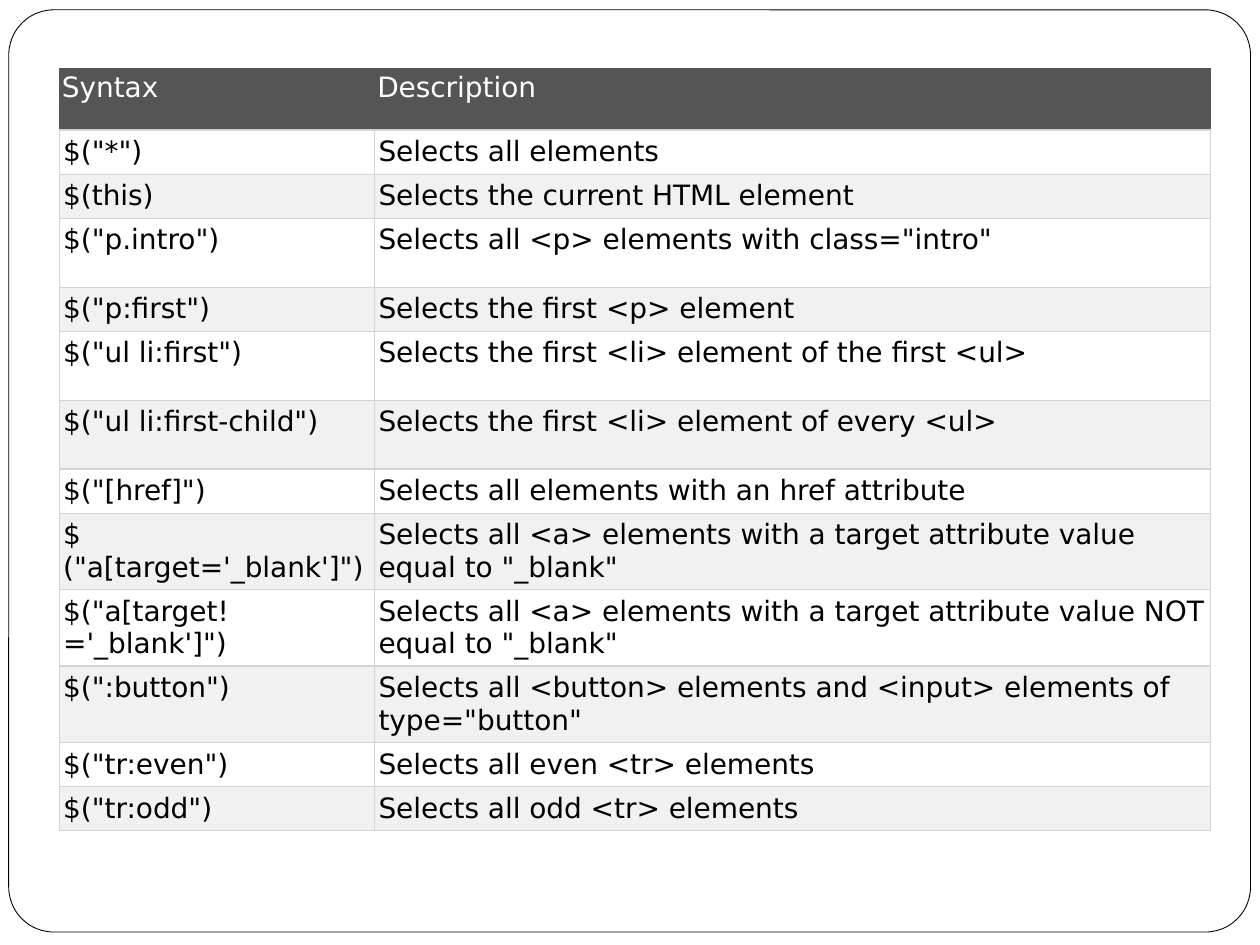
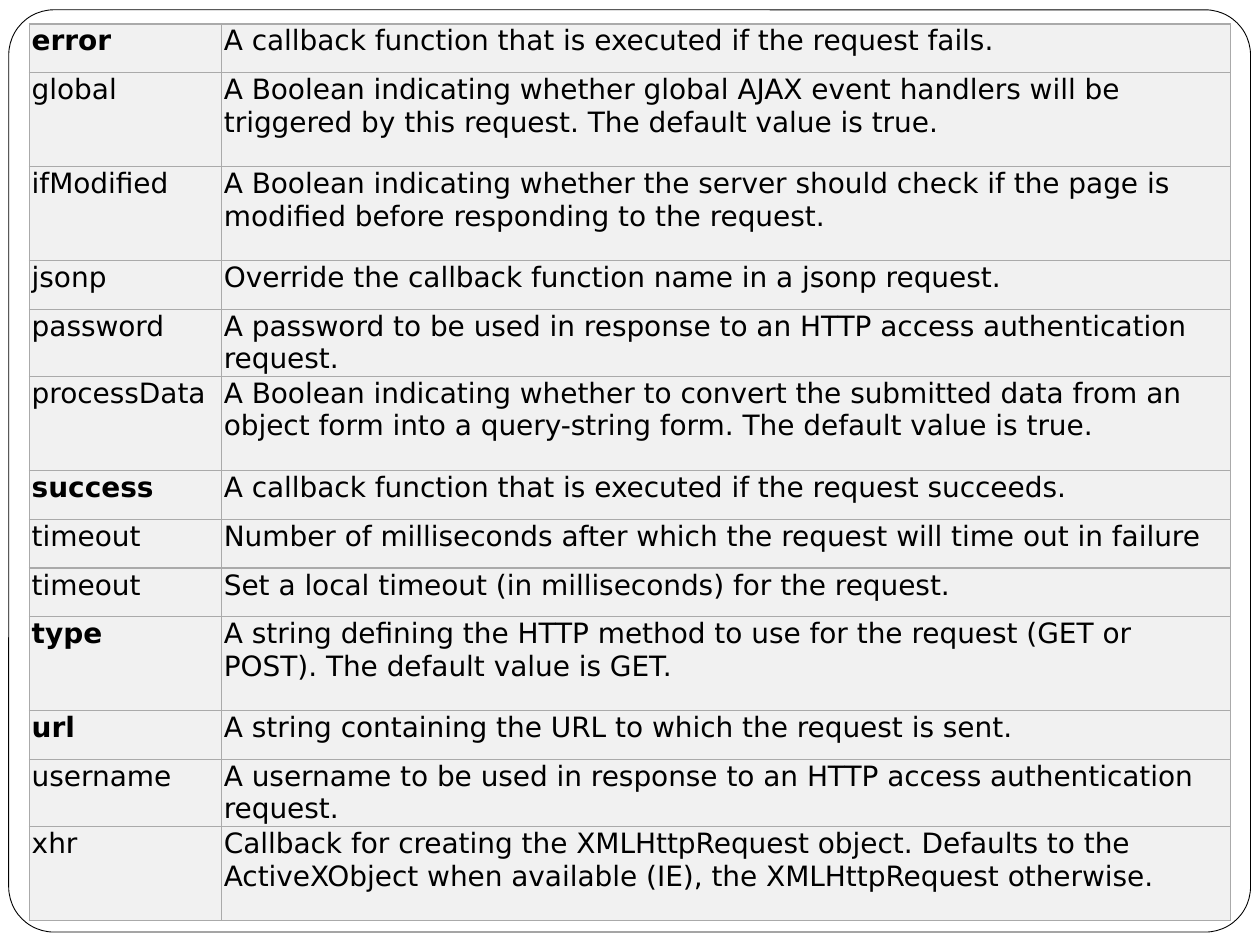
from lxml.etree import SubElement
from pptx import Presentation
from pptx.dml.color import RGBColor
from pptx.enum.shapes import MSO_SHAPE as Shape
from pptx.oxml.ns import qn
from pptx.util import Pt

FONT = "DejaVu Sans"
TEXT_SIZE = 16
BLACK, WHITE, STRIPE, HEADER = "000000", "FFFFFF", "F1F1F1", "555555"
SELECTOR_BORDER, OPTION_BORDER = "D4D4D4", "AAAAAA"
FRAME_BOX = (5, 5.6, 709.6, 527)

# Row heights in points
SELECTOR_SHORT, SELECTOR_TALL = 24.6, 39.4
OPTION_SHORT, OPTION_SNUG, OPTION_TALL = 27.95, 29.4, 53.6

SELECTORS = [
    ('$("*")', "Selects all elements", SELECTOR_SHORT),
    ("$(this)", "Selects the current HTML element", SELECTOR_SHORT),
    ('$("p.intro")', 'Selects all <p> elements with class="intro"', SELECTOR_TALL),
    ('$("p:first")', "Selects the first <p> element", SELECTOR_SHORT),
    ('$("ul li:first")', "Selects the first <li> element of the first <ul>", SELECTOR_TALL),
    ('$("ul li:first-child")', "Selects the first <li> element of every <ul>", SELECTOR_TALL),
    ('$("[href]")', "Selects all elements with an href attribute", SELECTOR_SHORT),
    ("$(\"a[target='_blank']\")",
     'Selects all <a> elements with a target attribute value equal to "_blank"', SELECTOR_TALL),
    ("$(\"a[target!='_blank']\")",
     'Selects all <a> elements with a target attribute value NOT equal to "_blank"', SELECTOR_TALL),
    ('$(":button")',
     'Selects all <button> elements and <input> elements of type="button"', SELECTOR_TALL),
    ('$("tr:even")', "Selects all even <tr> elements", SELECTOR_SHORT),
    ('$("tr:odd")', "Selects all odd <tr> elements", SELECTOR_SHORT),
]

OPTIONS = [
    ("error", "A callback function that is executed if the request fails.", OPTION_SHORT),
    ("global", "A Boolean indicating whether global AJAX event handlers will be "
     "triggered by this request. The default value is true.", OPTION_TALL),
    ("ifModified", "A Boolean indicating whether the server should check if the page is "
     "modified before responding to the request.", OPTION_TALL),
    ("jsonp", "Override the callback function name in a jsonp request.", OPTION_SHORT),
    ("password", "A password to be used in response to an HTTP access authentication request.",
     OPTION_SNUG),
    ("processData", "A Boolean indicating whether to convert the submitted data from an "
     "object form into a query-string form. The default value is true.", OPTION_TALL),
    ("success", "A callback function that is executed if the request succeeds.", OPTION_SHORT),
    ("timeout", "Number of milliseconds after which the request will time out in failure",
     OPTION_SHORT),
    ("timeout", "Set a local timeout (in milliseconds) for the request.", OPTION_SHORT),
    ("type", "A string defining the HTTP method to use for the request (GET or POST). "
     "The default value is GET.", OPTION_TALL),
    ("url", "A string containing the URL to which the request is sent.", OPTION_SHORT),
    ("username", "A username to be used in response to an HTTP access authentication request.",
     OPTION_SNUG),
    ("xhr", "Callback for creating the XMLHttpRequest object. Defaults to the ActiveXObject "
     "when available (IE), the XMLHttpRequest otherwise.", OPTION_TALL),
]
KEY_OPTIONS = {"error", "success", "type", "url"}


def color(hex_string):
    return RGBColor.from_string(hex_string)


def add_framed_slide(presentation):
    """Add a blank slide with the rounded frame that all slides share."""
    slide = presentation.slides.add_slide(presentation.slide_layouts[6])
    frame = slide.shapes.add_shape(Shape.ROUNDED_RECTANGLE, *map(Pt, FRAME_BOX))
    frame.adjustments[0] = 0.049
    frame.shadow.inherit = False
    frame.fill.solid()
    frame.fill.fore_color.rgb = color(WHITE)
    frame.line.color.rgb = color(BLACK)
    frame.line.width = Pt(0.5)
    return slide


def set_borders(cell, side_color, bottom_color):
    properties = cell._tc.get_or_add_tcPr()
    for side in "LRTB":
        line = SubElement(properties, qn(f"a:ln{side}"), w=str(Pt(0.75)))
        fill = SubElement(line, qn("a:solidFill"))
        SubElement(fill, qn("a:srgbClr"), val=bottom_color if side == "B" else side_color)


def format_cell(cell, text, fill, margins, border, bottom=None, text_color=BLACK, bold=False):
    """Fill one cell; margins are (horizontal, vertical)."""
    set_borders(cell, border, bottom or border)
    cell.fill.solid()
    cell.fill.fore_color.rgb = color(fill)
    cell.margin_left = cell.margin_right = Pt(margins[0])
    cell.margin_top = cell.margin_bottom = Pt(margins[1])
    cell.text = text
    font = cell.text_frame.paragraphs[0].font
    font.name, font.size, font.bold = FONT, Pt(TEXT_SIZE), bold
    font.color.rgb = color(text_color)


def add_plain_table(slide, left, top, column_widths, row_heights):
    box = (left, top, sum(column_widths), sum(row_heights))
    table = slide.shapes.add_table(len(row_heights), len(column_widths), *map(Pt, box)).table
    table.first_row = table.horz_banding = False
    for column, width in zip(table.columns, column_widths):
        column.width = Pt(width)
    for row, height in zip(table.rows, row_heights):
        row.height = Pt(height)
    return table


def add_selector_table(slide, left, top):
    heights = [35.2] + [height for *_, height in SELECTORS]
    table = add_plain_table(slide, left, top, (180.2, 477.6), heights)
    for column, heading in enumerate(("Syntax", "Description")):
        format_cell(table.cell(0, column), heading, HEADER, (1.6, 1.7),
                    HEADER, SELECTOR_BORDER, WHITE)
    for row, (*texts, _) in enumerate(SELECTORS, start=1):
        for column, text in enumerate(texts):
            format_cell(table.cell(row, column), text, WHITE if row % 2 else STRIPE,
                        (2.35, 3.35), SELECTOR_BORDER)


def add_option_table(slide, left, top):
    heights = [height for *_, height in OPTIONS]
    table = add_plain_table(slide, left, top, (109.8, 576.5), heights)
    for row, (option, description, _) in enumerate(OPTIONS):
        for column, text in enumerate((option, description)):
            format_cell(table.cell(row, column), text, STRIPE, (1.45, 0.7), OPTION_BORDER,
                        bold=column == 0 and option in KEY_OPTIONS)


def main():
    presentation = Presentation()
    presentation.slide_width, presentation.slide_height = Pt(720), Pt(540)
    add_selector_table(add_framed_slide(presentation), 33.8, 39.1)
    add_option_table(add_framed_slide(presentation), 16.7, 13.7)
    presentation.save("out.pptx")


if __name__ == "__main__":
    main()
